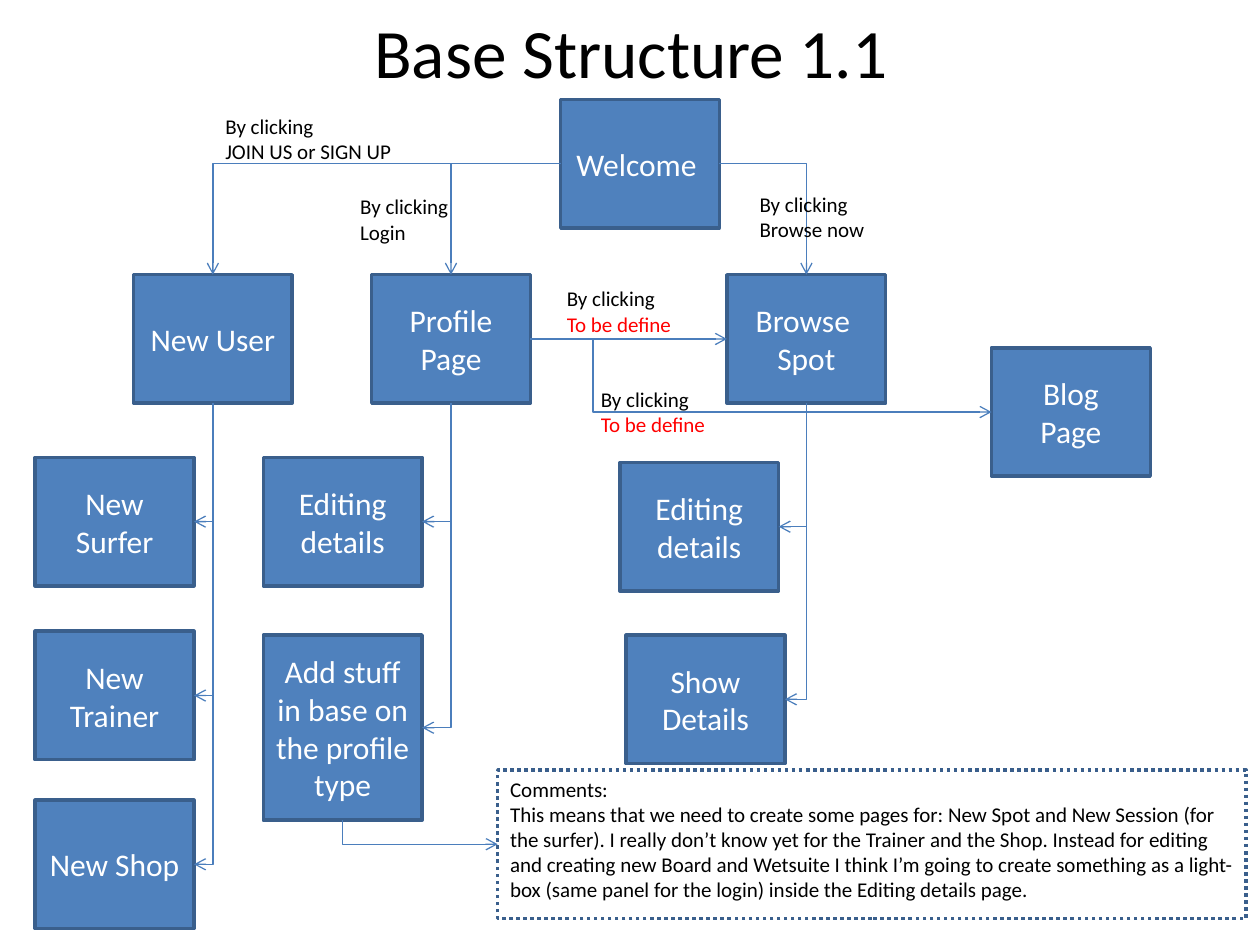
"""Build the Base Structure 1.1 site map slide."""
from lxml.etree import SubElement
from pptx import Presentation
from pptx.dml.color import RGBColor
from pptx.enum.dml import MSO_LINE
from pptx.enum.shapes import MSO_CONNECTOR, MSO_SHAPE
from pptx.enum.text import MSO_ANCHOR, MSO_AUTO_SIZE, PP_ALIGN
from pptx.oxml.ns import qn
from pptx.util import Inches, Pt

BLUE = RGBColor(0x4F, 0x81, 0xBD)
EDGE = RGBColor(0x3A, 0x5F, 0x8C)
WIRE = RGBColor(0x4B, 0x7E, 0xBC)
BLACK = RGBColor(0, 0, 0)
WHITE = RGBColor(255, 255, 255)
RED = RGBColor(255, 0, 0)

TOP, LEFT, BOTTOM, RIGHT = range(4)
WIDE, HIGH = 1.26, 1.02

PAGES = {
    "welcome": (4.45, 0.79, HIGH, "Welcome "),
    "user": (1.06, 2.18, HIGH, "New User"),
    "profile": (2.95, 2.18, HIGH, "Profile\nPage"),
    "browse": (5.77, 2.18, HIGH, "Browse \nSpot"),
    "blog": (7.87, 2.76, HIGH, "Blog\nPage"),
    "surfer": (0.28, 3.63, HIGH, "New Surfer"),
    "trainer": (0.28, 5.01, HIGH, "New Trainer"),
    "shop": (0.28, 6.35, HIGH, "New Shop"),
    "edit": (2.09, 3.63, HIGH, "Editing details"),
    "stuff": (2.09, 5.04, 1.47, "Add stuff in base on the profile type"),
    "change": (4.92, 3.67, HIGH, "Editing details"),
    "show": (4.97, 5.04, HIGH, "Show\nDetails"),
}
ACROSS = [("welcome", LEFT, "user"), ("welcome", LEFT, "profile"),
          ("welcome", RIGHT, "browse")]
DOWN = {"user": ("surfer", "trainer", "shop"),
        "profile": ("edit", "stuff"),
        "browse": ("change", "show")}
LABELS = [
    (1.69, 0.85, 1.54, "JOIN US or SIGN UP", BLACK),
    (2.76, 1.49, 0.97, "Login", BLACK),
    (5.93, 1.47, 1.04, "Browse now", BLACK),
    (4.4, 2.22, 1.04, "To be define", RED),
    (4.67, 3.02, 1.04, "To be define", RED),
]
NOTE = ("This means that we need to create some pages for: New Spot and New "
        "Session (for the surfer). I really don’t know yet for the Trainer and "
        "the Shop. Instead for editing and creating new Board and Wetsuite I "
        "think I’m going to create something as a light-box (same panel for "
        "the login) inside the Editing details page.")

MID = {"word_wrap": True, "vertical_anchor": MSO_ANCHOR.MIDDLE}
FLOW = {"word_wrap": True, "vertical_anchor": MSO_ANCHOR.TOP}
FIT = {"auto_size": MSO_AUTO_SIZE.SHAPE_TO_FIT_TEXT, "word_wrap": False}


def apply(item, look):
    for name, value in look.items():
        setattr(item, name, value)


def write(shape, text, size, inks, align, frame):
    body = shape.text_frame
    apply(body, frame)
    body.text = text
    for para, ink in zip(body.paragraphs, inks):
        para.alignment = align
        font = para.runs[0].font
        apply(font, {"name": "Calibri", "size": Pt(size)})
        font.color.rgb = ink


def add_text(slide, spot, text, size, inks, align, frame):
    box = slide.shapes.add_textbox(*map(Inches, spot))
    write(box, text, size, inks, align, frame)


def add_box(slide, spot, fill):
    box = slide.shapes.add_shape(MSO_SHAPE.RECTANGLE, *map(Inches, spot))
    box.shadow.inherit = False
    box.fill.solid()
    box.fill.fore_color.rgb = fill
    box.line.color.rgb = EDGE
    box.line.width = Pt(2)
    return box


def add_wire(slide, start, out, end, into):
    wire = slide.shapes.add_connector(MSO_CONNECTOR.ELBOW, 0, 0, 0, 0)
    wire.begin_connect(start, out)
    wire.end_connect(end, into)
    wire.line.color.rgb = WIRE
    wire.line.width = Pt(0.75)
    SubElement(wire.line._get_or_add_ln(), qn("a:tailEnd"), type="arrow")
    SubElement(wire.element.spPr, qn("a:effectLst"))
    return wire


def bend(wire):
    wire.element.spPr.find(qn("a:prstGeom")).set("prst", "bentConnector2")


def drop(wire):
    """Turn a single bend so that it leaves downward."""
    bend(wire)
    right = wire.end_x > wire.begin_x
    wide, high = wire.width, wire.height
    apply(wire, {"left": wire.left + (wide - high) // 2,
                 "top": wire.top + (high - wide) // 2,
                 "width": high, "height": wide})
    form = wire.element.spPr.find(qn("a:xfrm"))
    form.set("rot", str((270 if right else 90) * 60000))
    form.set("flipH", "1" if right else "0")


def main():
    deck = Presentation()
    apply(deck, {"slide_width": Inches(10), "slide_height": Inches(7.5)})
    slide = deck.slides.add_slide(deck.slide_layouts[6])
    add_text(slide, (0.51, 0.02, 9, 0.77), "Base Structure 1.1", 39.6,
             [BLACK], PP_ALIGN.CENTER, MID)

    boxes = {}
    for key, (left, top, high, text) in PAGES.items():
        boxes[key] = add_box(slide, (left, top, WIDE, high), BLUE)
        write(boxes[key], text, 18, [WHITE] * 2, PP_ALIGN.CENTER, MID)
    note = add_box(slide, (3.95, 6.11, 5.94, 1.18), WHITE)
    note.line.dash_style = MSO_LINE.ROUND_DOT
    write(note, "Comments:\n" + NOTE, 12, [BLACK] * 2, PP_ALIGN.LEFT, FLOW)

    for start, side, end in ACROSS:
        bend(add_wire(slide, boxes[start], side, boxes[end], TOP))
    for start, ends in DOWN.items():
        for end in ends:
            drop(add_wire(slide, boxes[start], BOTTOM, boxes[end], RIGHT))
    drop(add_wire(slide, boxes["stuff"], BOTTOM, note, LEFT))
    add_wire(slide, boxes["profile"], RIGHT, boxes["browse"], LEFT)
    blog = add_wire(slide, boxes["profile"], RIGHT, boxes["blog"], LEFT)
    guide = blog.element.spPr.find(qn("a:prstGeom")).get_or_add_avLst()
    SubElement(guide, qn("a:gd"), name="adj1", fmla="val 13600")

    for left, top, wide, text, ink in LABELS:
        add_text(slide, (left, top, wide, 0.5), "By clicking \n" + text, 12,
                 [BLACK, ink], PP_ALIGN.LEFT, FIT)
    deck.save("out.pptx")


main()
